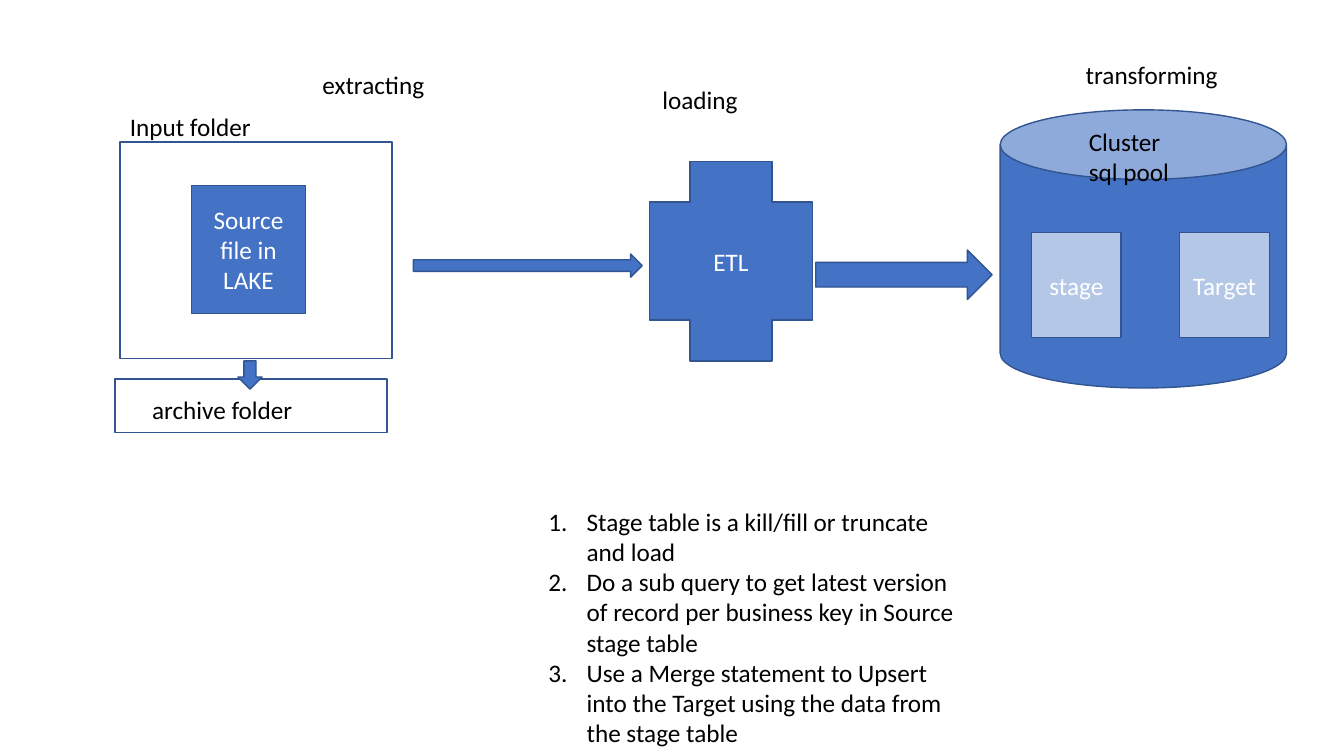
from pptx import Presentation
from pptx.dml.color import RGBColor
from pptx.enum.shapes import MSO_SHAPE as Preset
from pptx.enum.text import MSO_ANCHOR as Anchor, PP_ALIGN as Align
from pptx.oxml.ns import qn
from pptx.util import Inches, Pt
from lxml.etree import SubElement

BLUE, PALE, EDGE = "4472C4", "B4C7E7", "325491"
WHITE, BLACK = "FFFFFF", "000000"
STEPS = [
    "Stage table is a kill/fill or truncate and load",
    "Do a sub query to get latest version of record per business key "
    "in Source stage table",
    "Use a Merge statement to Upsert into the Target using the data "
    "from the stage table",
]


def color(value):
    """Turn a hex string into a colour."""
    return RGBColor.from_string(value)


def add_text(paragraph, text, ink):
    """Append one 18 pt run to a paragraph."""
    run = paragraph.add_run()
    run.text = text
    run.font.name = "Calibri"
    run.font.size = Pt(18)
    run.font.color.rgb = color(ink)


def add_block(slide, preset, box, fill=None, text=None):
    """Draw an outlined preset shape, filled and centre-labelled on request."""
    shape = slide.shapes.add_shape(preset, *map(Inches, box))
    shape.shadow.inherit = False
    shape.line.color.rgb = color(EDGE)
    shape.line.width = Pt(1)
    if fill:
        shape.fill.solid()
        shape.fill.fore_color.rgb = color(fill)
    else:
        shape.fill.background()
    if text:
        shape.text_frame.word_wrap = True
        shape.text_frame.vertical_anchor = Anchor.MIDDLE
        paragraph = shape.text_frame.paragraphs[0]
        paragraph.alignment = Align.CENTER
        add_text(paragraph, text, WHITE)


def add_label(slide, box, text):
    """Place a wrapping black text box and return its text frame."""
    frame = slide.shapes.add_textbox(*map(Inches, box)).text_frame
    frame.word_wrap = True
    add_text(frame.paragraphs[0], text, BLACK)
    return frame


def add_numbered_list(slide, box, items):
    """Place a numbered list with hanging indents."""
    frame = add_label(slide, box, items[0])
    for item in items[1:]:
        add_text(frame.add_paragraph(), item, BLACK)
    for paragraph in frame.paragraphs:
        properties = paragraph._p.get_or_add_pPr()
        properties.set("marL", str(Inches(0.38)))
        properties.set("indent", str(-Inches(0.38)))
        SubElement(properties, qn("a:buFont"), typeface="+mj-lt")
        SubElement(properties, qn("a:buAutoNum"), type="arabicPeriod")


def main():
    """Build the data pipeline slide."""
    presentation = Presentation()
    presentation.slide_width = Inches(13.33)
    presentation.slide_height = Inches(7.5)
    slide = presentation.slides.add_slide(presentation.slide_layouts[6])

    # Extracting: input folder, its source file and the engine
    add_block(slide, Preset.RECTANGLE, (1.9, 1.84, 1.13, 1.27), BLUE,
              "Source file in LAKE")
    add_block(slide, Preset.RECTANGLE, (1.19, 1.41, 2.7, 2.15))
    add_label(slide, (1.19, 1.06, 2.7, 0.4), "Input folder")
    add_block(slide, Preset.CROSS, (6.44, 1.6, 1.62, 1.98), BLUE, "ETL")
    add_block(slide, Preset.RIGHT_ARROW, (4.1, 2.52, 2.27, 0.23), BLUE)

    # Transforming: pool with its two tables
    add_block(slide, Preset.CAN, (9.92, 1.09, 2.84, 2.76), BLUE)
    for left, table in ((10.23, "stage"), (11.7, "Target")):
        add_block(slide, Preset.RECTANGLE, (left, 2.31, 0.89, 1.04), PALE, table)
    add_block(slide, Preset.RIGHT_ARROW, (8.09, 2.48, 1.75, 0.49), BLUE)

    add_numbered_list(slide, (5.34, 4.97, 4.37, 2.5), STEPS)
    add_label(slide, (10.7, 1.2, 1.21, 0.71), "Cluster sql pool")
    add_label(slide, (3.1, 0.64, 1.46, 0.4), "extracting")
    add_label(slide, (6.47, 0.79, 2.52, 0.4), "loading")
    add_label(slide, (10.67, 0.54, 2.52, 0.4), "transforming")

    # Archive of processed files
    add_block(slide, Preset.RECTANGLE, (1.14, 3.76, 2.7, 0.53))
    add_label(slide, (1.41, 3.86, 2.7, 0.4), "archive folder")
    add_block(slide, Preset.DOWN_ARROW, (2.36, 3.58, 0.24, 0.28), BLUE)

    presentation.save("out.pptx")


main()
